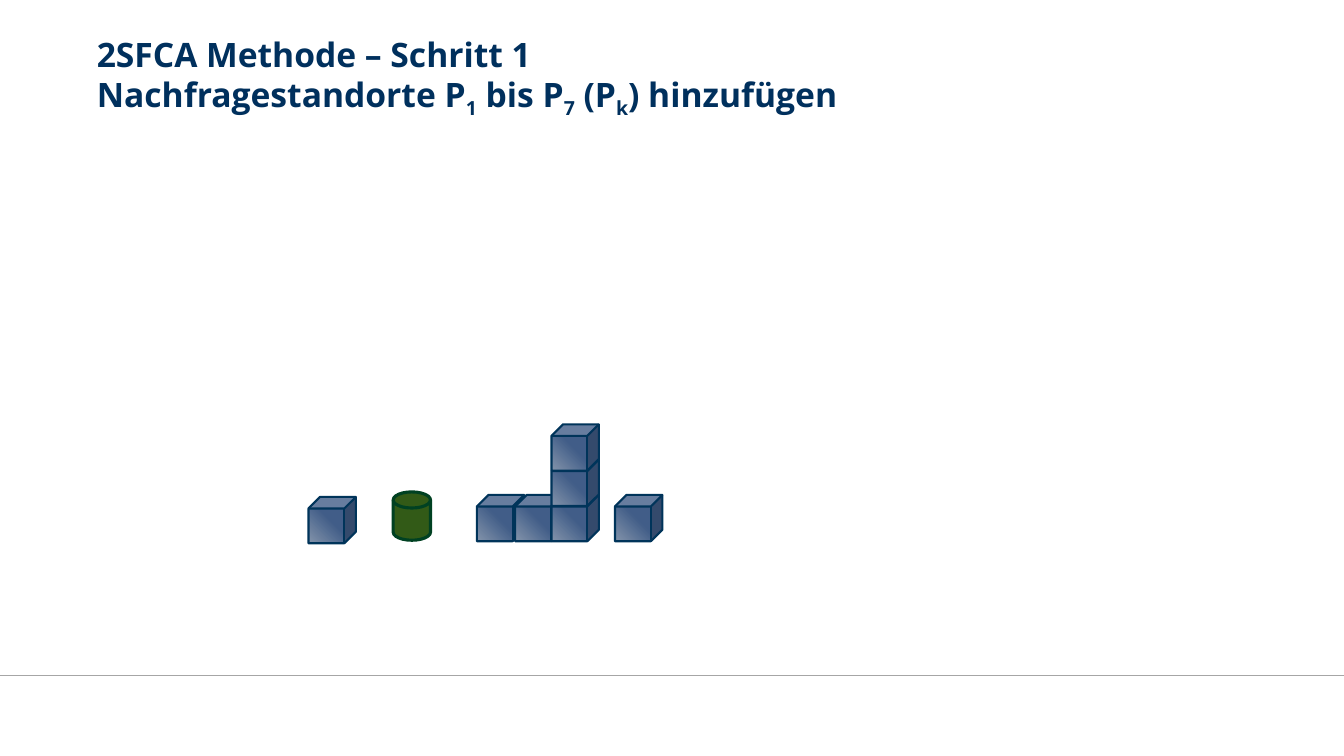
import pptx
import pptx.util
import pptx.oxml
import pptx.oxml.ns
from pptx.dml.color import RGBColor
from pptx.enum.shapes import MSO_CONNECTOR, MSO_SHAPE
from pptx.enum.text import MSO_ANCHOR, MSO_AUTO_SIZE, PP_ALIGN
from pptx.util import Inches

NAVY = RGBColor(0x00, 0x30, 0x5D)
GRAY = RGBColor(0xA6, 0xA6, 0xA6)
GREEN = RGBColor(0x32, 0x5A, 0x17)
FOREST = RGBColor(0x00, 0x41, 0x22)
EDGE = RGBColor(0x00, 0x34, 0x5A)
BLUE = RGBColor(0x41, 0x5D, 0x88)
HAZE = RGBColor(0x82, 0x93, 0xAA)

FONT = "Open Sans"
STEP = 0.35  # height of one storey in a stack of cubes

# Title lines as (text, subscript) runs
TITLE = [
    [("2SFCA Methode – Schritt 1", False)],
    [("Nachfragestandorte P", False), ("1", True), (" bis P", False),
     ("7", True), (" (P", False), ("k", True), (") hinzufügen", False)],
]

# Stacks of cubes: left, top of the lowest cube, number of cubes
STACKS = [(4.73, 4.91, 1), (5.11, 4.91, 1), (5.47, 4.91, 3),
          (6.1, 4.91, 1), (3.06, 4.93, 1)]


def add_run(para, text, sub):
    run = para.add_run()
    run.text = text
    font = run.font
    font.name = FONT
    font.size = pptx.util.Pt(24)
    font.bold = True
    font.color.rgb = NAVY
    if sub:
        run._r.get_or_add_rPr().set("baseline", "-25000")


def set_title(slide):
    title = slide.shapes.title
    title.left, title.top = Inches(0.96), Inches(0.38)
    title.width, title.height = Inches(11.57), Inches(0.75)
    frame = title.text_frame
    frame.margin_left = frame.margin_right = 0
    frame.margin_top = frame.margin_bottom = 0
    frame.word_wrap = True
    frame.auto_size = MSO_AUTO_SIZE.NONE
    frame.vertical_anchor = MSO_ANCHOR.TOP
    para = frame.paragraphs[0]
    para.alignment = PP_ALIGN.LEFT
    para.line_spacing = 0.9
    for row, runs in enumerate(TITLE):
        if row:
            para.add_line_break()
        for text, sub in runs:
            add_run(para, text, sub)


def add_rule(slide, top):
    rule = slide.shapes.add_connector(
        MSO_CONNECTOR.STRAIGHT, 0, Inches(top), Inches(13.33), Inches(top))
    rule.line.color.rgb = GRAY
    rule.line.width = pptx.util.Pt(1)
    pptx.oxml.ns.qn("a:effectLst")
    rule._element.spPr.append(pptx.oxml.parse_xml(
        f'<a:effectLst {pptx.oxml.ns.nsdecls("a")}/>'))


def add_solid(slide, kind, left, top, width, height, edge, weight):
    shape = slide.shapes.add_shape(
        kind, Inches(left), Inches(top), Inches(width), Inches(height))
    shape.shadow.inherit = False
    shape.line.color.rgb = edge
    shape.line.width = pptx.util.Pt(weight)
    return shape


def add_cube(slide, left, top):
    cube = add_solid(slide, MSO_SHAPE.CUBE, left, top, 0.47, 0.46, EDGE, 1.5)
    # Radial gradient centred on the top right corner
    shade = pptx.oxml.parse_xml(
        f'<a:gradFill {pptx.oxml.ns.nsdecls("a")} rotWithShape="1"><a:gsLst>'
        f'<a:gs pos="51000"><a:srgbClr val="{BLUE}"/></a:gs>'
        f'<a:gs pos="99000"><a:srgbClr val="{HAZE}"/></a:gs></a:gsLst>'
        '<a:path path="circle"><a:fillToRect l="100000" b="100000"/></a:path>'
        '</a:gradFill>')
    cube._element.spPr.prstGeom.addnext(shade)


def main():
    deck = pptx.Presentation()
    deck.slide_width, deck.slide_height = Inches(13.33), Inches(7.5)
    slide = deck.slides.add_slide(deck.slide_layouts[5])

    # Footer rule and title
    add_rule(slide, 6.7)
    set_title(slide)

    # Supply site
    disk = add_solid(slide, MSO_SHAPE.FLOWCHART_MAGNETIC_DISK,
                     3.9, 4.88, 0.37, 0.48, FOREST, 2.25)
    disk.fill.solid()
    disk.fill.fore_color.rgb = GREEN

    # Demand sites
    for left, base, count in STACKS:
        for level in range(count):
            add_cube(slide, left, base - level * STEP)

    deck.save("out.pptx")


if __name__ == "__main__":
    main()
